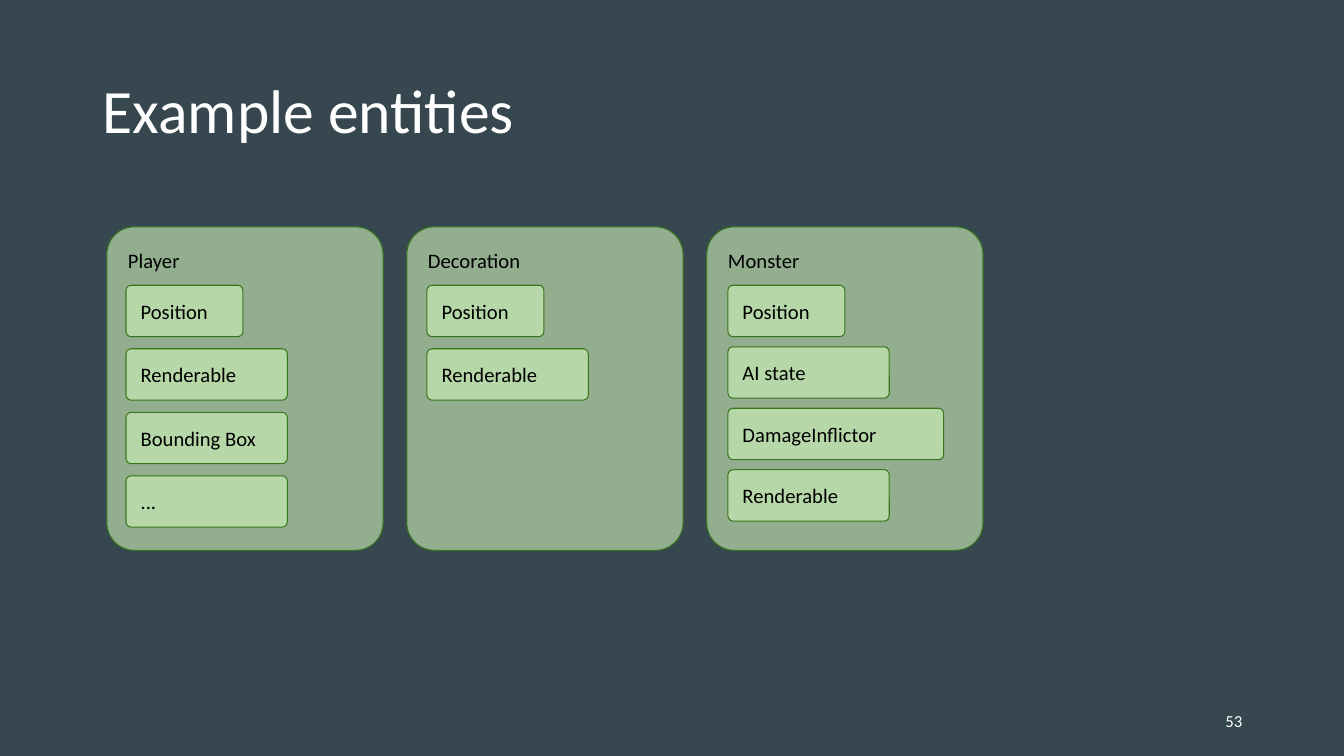
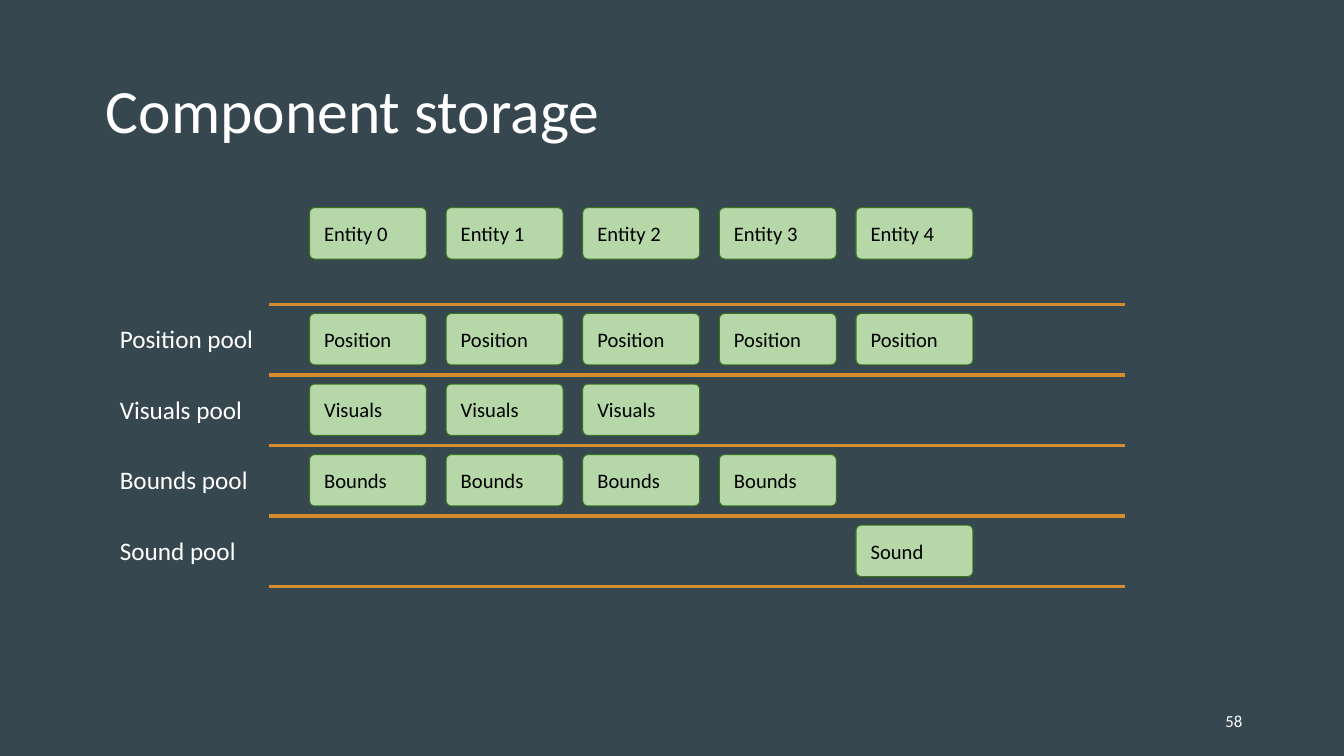
from dataclasses import dataclass

from pptx import Presentation
from pptx.dml.color import RGBColor
from pptx.enum.shapes import MSO_CONNECTOR, MSO_SHAPE
from pptx.enum.text import MSO_ANCHOR, MSO_AUTO_SIZE, PP_ALIGN
from pptx.oxml.ns import qn
from pptx.util import Inches, Pt
from lxml.etree import SubElement


@dataclass(frozen=True)
class Theme:
    """Colours, font, type sizes and insets shared by the slides."""
    background: RGBColor = RGBColor(0x37, 0x47, 0x4F)
    light: RGBColor = RGBColor(0xFF, 0xFF, 0xFF)
    dark: RGBColor = RGBColor(0x00, 0x00, 0x00)
    box_fill: RGBColor = RGBColor(0xB6, 0xD7, 0xA8)
    box_line: RGBColor = RGBColor(0x38, 0x76, 0x1D)
    divider: RGBColor = RGBColor(0xD5, 0x8C, 0x2E)
    font: str = "Calibri"
    title_size: float = 44
    pool_size: float = 18
    box_size: float = 14.7
    number_size: float = 12
    box_inset: float = 0.13
    card_opacity: int = 72


THEME = Theme()
NARROW, MEDIUM, WIDE = 1.16, 1.6, 2.14
CHIP_HEIGHT = 0.51

ENTITIES = [
    ("Player", 0.19, 0.63, [("Position", NARROW), ("Renderable", MEDIUM),
                            ("Bounding Box", MEDIUM), ("...", MEDIUM)]),
    ("Decoration", 0.2, 0.63, [("Position", NARROW), ("Renderable", MEDIUM)]),
    ("Monster", 0.21, 0.61, [("Position", NARROW), ("AI state", MEDIUM),
                             ("DamageInflictor", WIDE), ("Renderable", MEDIUM)]),
]

POOLS = [
    ("Position", range(5)),
    ("Visuals", range(3)),
    ("Bounds", range(4)),
    ("Sound", [4]),
]


def write_text(shape, text, *, size, color, anchor=MSO_ANCHOR.MIDDLE,
               align=PP_ALIGN.LEFT, spacing=None, inset=None, wrap=True):
    """Fill a shape with one formatted paragraph."""
    frame = shape.text_frame
    frame.word_wrap = wrap
    frame.vertical_anchor = anchor
    if inset is not None:
        frame.margin_left = frame.margin_right = Inches(inset)
        frame.margin_top = frame.margin_bottom = Inches(inset)
    paragraph = frame.paragraphs[0]
    paragraph.alignment = align
    if spacing:
        paragraph.line_spacing = spacing
    run = paragraph.add_run()
    run.text = text
    run.font.name = THEME.font
    run.font.size = Pt(size)
    run.font.color.rgb = color


def add_label(slide, text, left, top, width, height, **text_format):
    """Add a text box in the light colour."""
    label = slide.shapes.add_textbox(Inches(left), Inches(top), Inches(width), Inches(height))
    write_text(label, text, color=THEME.light, **text_format)
    return label


def add_box(shapes, text, left, top, width, height=CHIP_HEIGHT,
            anchor=MSO_ANCHOR.MIDDLE, opacity=100):
    """Add a green rounded box with its caption."""
    box = shapes.add_shape(MSO_SHAPE.ROUNDED_RECTANGLE, Inches(left), Inches(top),
                           Inches(width), Inches(height))
    box.adjustments[0] = 0.1
    box.shadow.inherit = False
    box.fill.solid()
    box.fill.fore_color.rgb = THEME.box_fill
    if opacity < 100:
        fill_color = box.element.spPr.find(qn("a:solidFill")).find(qn("a:srgbClr"))
        SubElement(fill_color, qn("a:alpha"), val=str(opacity * 1000))
    box.line.color.rgb = THEME.box_line
    box.line.width = Pt(0.75)
    write_text(box, text, size=THEME.box_size, color=THEME.dark,
               anchor=anchor, inset=THEME.box_inset)


def add_divider(slide, left, right, top):
    """Add a horizontal orange line."""
    divider = slide.shapes.add_connector(MSO_CONNECTOR.STRAIGHT, Inches(left), Inches(top),
                                         Inches(right), Inches(top))
    divider.line.color.rgb = THEME.divider
    divider.line.width = Pt(2.25)
    SubElement(divider.element.spPr, qn("a:effectLst"))


def add_entity_card(slide, name, left, chip_inset, chip_pitch, components):
    """Add a grouped entity card with its stack of components."""
    top = 2.25
    card = slide.shapes.add_group_shape().shapes
    add_box(card, name, left, top, 2.74, 3.21,
            anchor=MSO_ANCHOR.TOP, opacity=THEME.card_opacity)
    for row, (component, width) in enumerate(components):
        add_box(card, component, left + chip_inset, top + 0.58 + row * chip_pitch, width)


def add_slide(deck, title, number, title_inset):
    """Add a slide with background, title and slide number."""
    slide = deck.slides.add_slide(deck.slide_layouts[6])
    slide.background.fill.solid()
    slide.background.fill.fore_color.rgb = THEME.background
    add_label(slide, title, 0.92, 0.4, 11.5, 1.45, size=THEME.title_size,
              spacing=0.9, inset=title_inset)
    add_label(slide, str(number), 9.42, 6.95, 3, 0.4, size=THEME.number_size,
              align=PP_ALIGN.RIGHT)
    return slide


def build_entities(deck):
    """Build the slide of example entities."""
    slide = add_slide(deck, "Example entities", 53, 0.1)
    first_left, last_left = 1.06, 7.01
    pitch = (last_left - first_left) / (len(ENTITIES) - 1)
    for column, (name, chip_inset, chip_pitch, components) in enumerate(ENTITIES):
        add_entity_card(slide, name, first_left + column * pitch,
                        chip_inset, chip_pitch, components)


def build_storage(deck):
    """Build the slide of component pools by entity."""
    slide = add_slide(deck, "Component storage", 58, THEME.box_inset)
    entity_count = 5
    first_left, last_left = 3.07, 8.49
    pitch = (last_left - first_left) / (entity_count - 1)
    lefts = [first_left + column * pitch for column in range(entity_count)]
    first_divider, row_pitch = 3.02, 0.7

    for entity, left in enumerate(lefts):
        add_box(slide.shapes, f"Entity {entity}", left, 2.06, NARROW)
    for row in range(len(POOLS) + 1):
        add_divider(slide, 2.67, 11.16, first_divider + row * row_pitch)
    for row, (component, owners) in enumerate(POOLS):
        top = first_divider + row * row_pitch
        pool = add_label(slide, f"{component} pool", 1.09, top + 0.14, 1.54, 0.4,
                         size=THEME.pool_size, anchor=MSO_ANCHOR.TOP, wrap=False)
        pool.text_frame.auto_size = MSO_AUTO_SIZE.SHAPE_TO_FIT_TEXT
        for entity in owners:
            add_box(slide.shapes, component, lefts[entity], top + 0.09, NARROW)


def main():
    """Build and save the deck."""
    deck = Presentation()
    deck.slide_width, deck.slide_height = Inches(13.33), Inches(7.5)
    build_entities(deck)
    build_storage(deck)
    deck.save("out.pptx")


if __name__ == "__main__":
    main()
